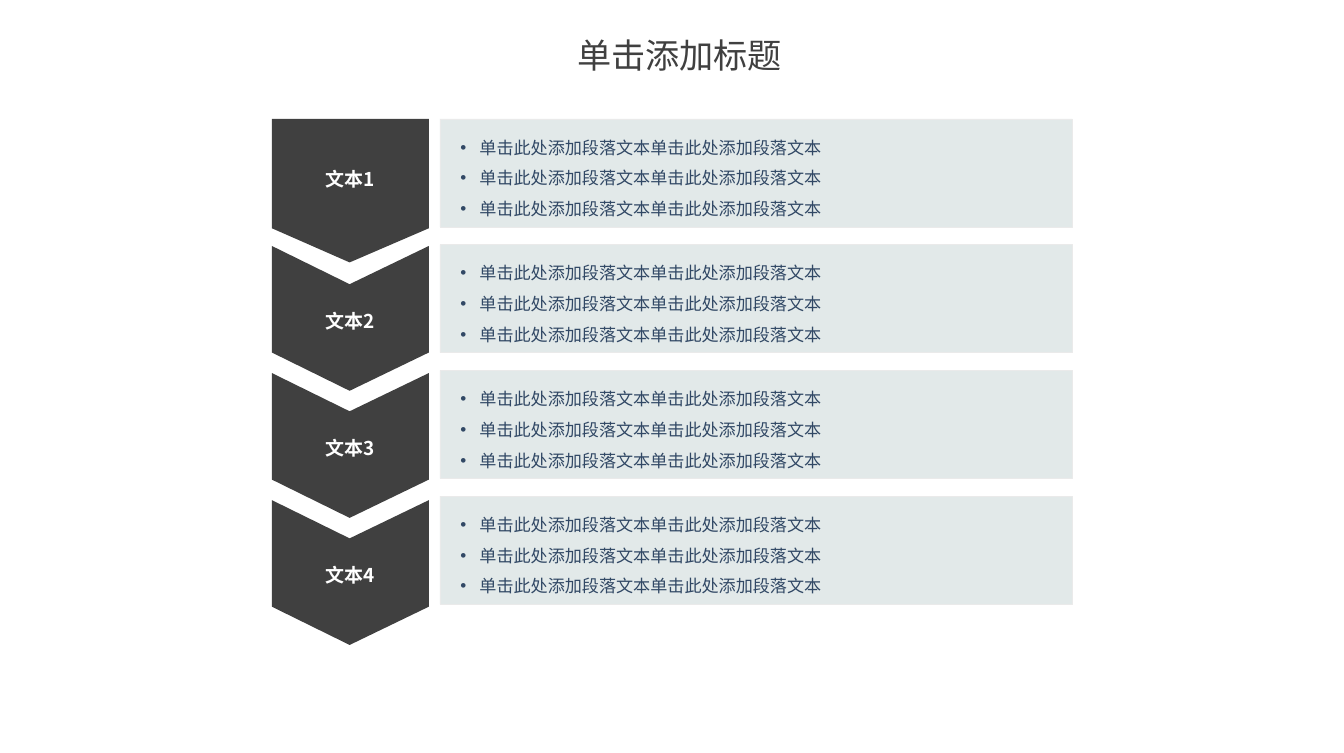
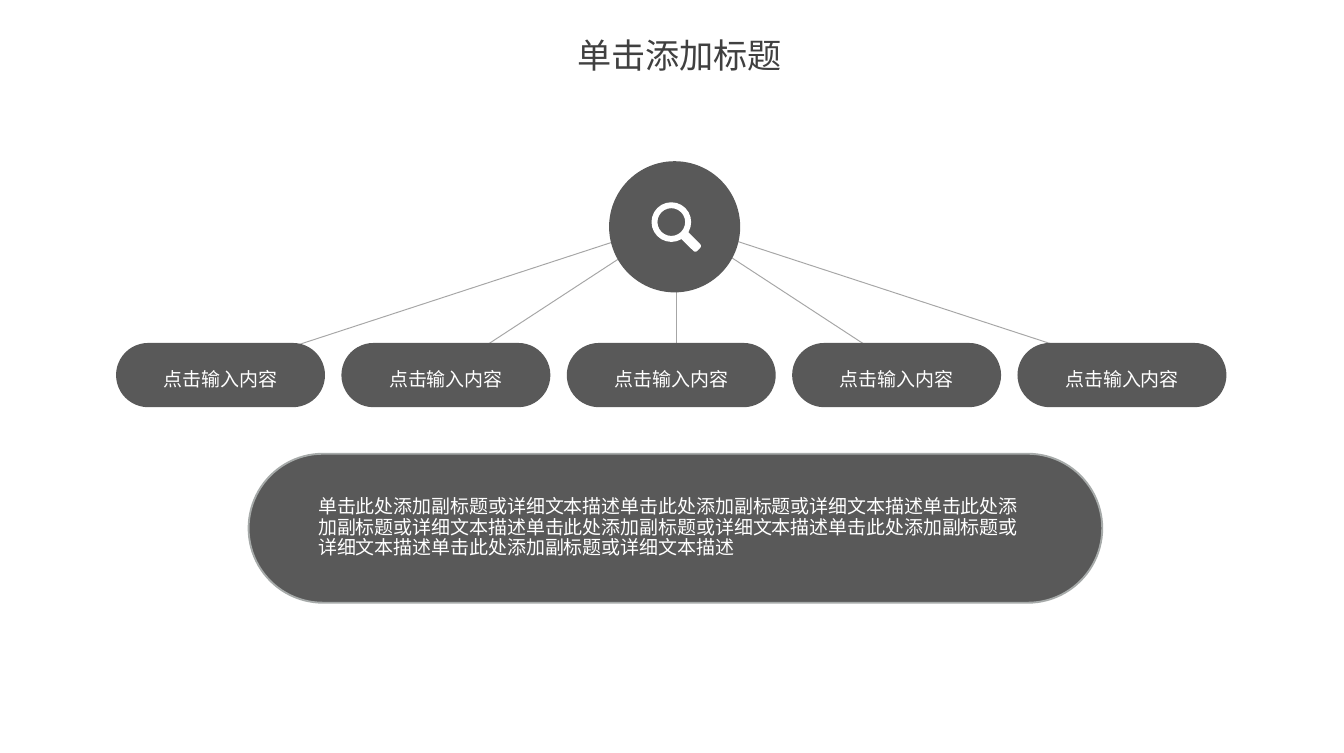
from dataclasses import dataclass

from lxml.etree import SubElement
from pptx import Presentation
from pptx.dml.color import RGBColor
from pptx.enum.shapes import MSO_CONNECTOR, MSO_SHAPE
from pptx.enum.text import MSO_ANCHOR, MSO_AUTO_SIZE, PP_ALIGN
from pptx.oxml.ns import qn
from pptx.util import Inches, Pt


@dataclass(frozen=True)
class Theme:
    font: str = "Noto Sans CJK SC"
    dark: str = "404040"
    gray: str = "595959"
    panel: str = "E2E9E9"
    edge: str = "EAEAEA"
    rim: str = "A6AAA9"
    rule: str = "A6A6A6"
    ink: str = "314865"
    white: str = "FFFFFF"
    title: int = 18
    label: int = 10
    item: int = 9


T = Theme()
TITLE = "单击添加标题"
ITEM = "单击此处添加段落文本" * 2
PILL = "点击输入内容"
NOTE = "单击此处添加副标题或详细文本描述" * 6


def color(code):
    return RGBColor.from_string(code)


def place(shape, x, y, w, h):
    shape.left, shape.top = Inches(x), Inches(y)
    shape.width, shape.height = Inches(w), Inches(h)


def paint(shape, fill, line=None, width=1):
    shape.fill.solid()
    shape.fill.fore_color.rgb = color(fill)
    if line:
        shape.line.color.rgb = color(line)
        shape.line.width = Pt(width)
    else:
        shape.line.fill.background()


def bullet(para):
    props = para._p.get_or_add_pPr()
    props.set("marL", str(Inches(0.14)))
    props.set("indent", str(Inches(-0.14)))
    SubElement(props, qn("a:buFont"), typeface="Arial")
    SubElement(props, qn("a:buChar"), char="•")


def write(shape, text, size, ink, pad=(0, 0, 0, 0), align=PP_ALIGN.CENTER,
          space=1.0, bold=False, wrap=True, dots=False):
    """Fill a shape with text; pad is left, top, right, bottom."""
    frame = shape.text_frame
    frame.text = text
    frame.auto_size = MSO_AUTO_SIZE.NONE
    frame.word_wrap = wrap
    frame.vertical_anchor = MSO_ANCHOR.MIDDLE
    (frame.margin_left, frame.margin_top,
     frame.margin_right, frame.margin_bottom) = map(Inches, pad)
    for para in frame.paragraphs:
        if dots:
            bullet(para)
        para.alignment = align
        para.line_spacing = space
        para.space_before = Pt(0)
        for run in para.runs:
            font = run.font
            font.size, font.bold, font.name = Pt(size), bold, T.font
            font.color.rgb = color(ink)
            SubElement(run._r.get_or_add_rPr(), qn("a:ea"), typeface=T.font)


def block(shapes, kind, box, fill, line=None):
    shape = shapes.add_shape(kind, *map(Inches, box))
    shape.shadow.inherit = False
    paint(shape, fill, line)
    return shape


def pill(shapes, box, line=None):
    shape = block(shapes, MSO_SHAPE.ROUNDED_RECTANGLE, box, T.gray, line)
    shape.adjustments[0] = 0.5
    return shape


def ray(shapes, start, end):
    line = shapes.add_connector(MSO_CONNECTOR.STRAIGHT,
                                *map(Inches, start + end))
    line.line.color.rgb = color(T.rule)
    line.line.width = Pt(0.5)
    SubElement(line._element.spPr, qn("a:effectLst"))


def chevron(shapes, y, text, first):
    left, mid, right = 1.99, 2.56, 3.14
    side, tip = (0.8, 1.05) if first else (0.78, 1.06)
    notch = [] if first else [(mid, y + 0.28)]
    points = notch + [(right, y), (right, y + side), (mid, y + tip),
                      (left, y + side)]
    build = shapes.build_freeform(Inches(left), Inches(y))
    build.add_line_segments([(Inches(a), Inches(b)) for a, b in points])
    shape = build.convert_to_shape()
    shape.shadow.inherit = False
    paint(shape, T.dark)
    write(shape, text, T.label, T.white, space=1.2, bold=True,
          pad=(0.1, 0.05, 0.1, 0.26 if first else 0.05))


def lens(shapes):
    """Magnifier on a disc."""
    group = shapes.add_group_shape().shapes
    block(group, MSO_SHAPE.OVAL, (4.46, 1.18, 0.96, 0.96), T.gray)
    ring = block(group, MSO_SHAPE.DONUT, (4.77, 1.48, 0.29, 0.29), T.white)
    ring.adjustments[0] = 0.15
    grip = block(group, MSO_SHAPE.ROUNDED_RECTANGLE,
                 (4.97, 1.73, 0.17, 0.07), T.white)
    grip.adjustments[0] = 0.25
    grip.rotation = 45


def start(deck, name):
    """Add a slide on the named layout, with the shared title."""
    slide = deck.slides.add_slide(deck.slide_layouts.get_by_name(name))
    title = slide.shapes.title
    place(title, 4.22, 0.25, 1.51, 0.3)
    write(title, TITLE, T.title, T.dark, wrap=False)
    return slide


def steps(deck):
    slide = start(deck, "Comparison")
    lists = [p for p in slide.placeholders if p.placeholder_format.idx]
    for i, panel in enumerate(lists):
        place(panel, 3.22, 0.87 + 0.92 * i, 4.63, 0.79)
        paint(panel, T.panel, T.edge, 0.25)
        write(panel, "\n".join([ITEM] * 3), T.item, T.ink, space=1.5,
              pad=(0.15, 0.05, 0.1, 0.05), align=PP_ALIGN.LEFT, dots=True)
        chevron(slide.shapes, 0.87 + 0.93 * i, f"文本{i + 1}", i == 0)


def hub(deck):
    shapes = start(deck, "Title Only").shapes
    count, mid = 5, 4.95
    for i in range(count):
        ray(shapes, (mid, 1.62), (mid + 1.67 * (i - count // 2), 2.71))
    for i in range(count):
        shape = pill(shapes, (0.85 + 1.65 * i, 2.51, 1.53, 0.47))
        write(shape, PILL, T.label, T.white, space=1.2, pad=(0, 0.02, 0, 0))
    note = pill(shapes, (1.82, 3.32, 6.25, 1.09), T.rim)
    write(note, NOTE, T.label, T.white, pad=(0.35, 0, 0.42, 0),
          align=PP_ALIGN.LEFT, space=0.9)
    lens(shapes)


def main():
    deck = Presentation()
    deck.slide_width, deck.slide_height = Inches(9.84), Inches(5.51)
    steps(deck)
    hub(deck)
    deck.save("out.pptx")


if __name__ == "__main__":
    main()
